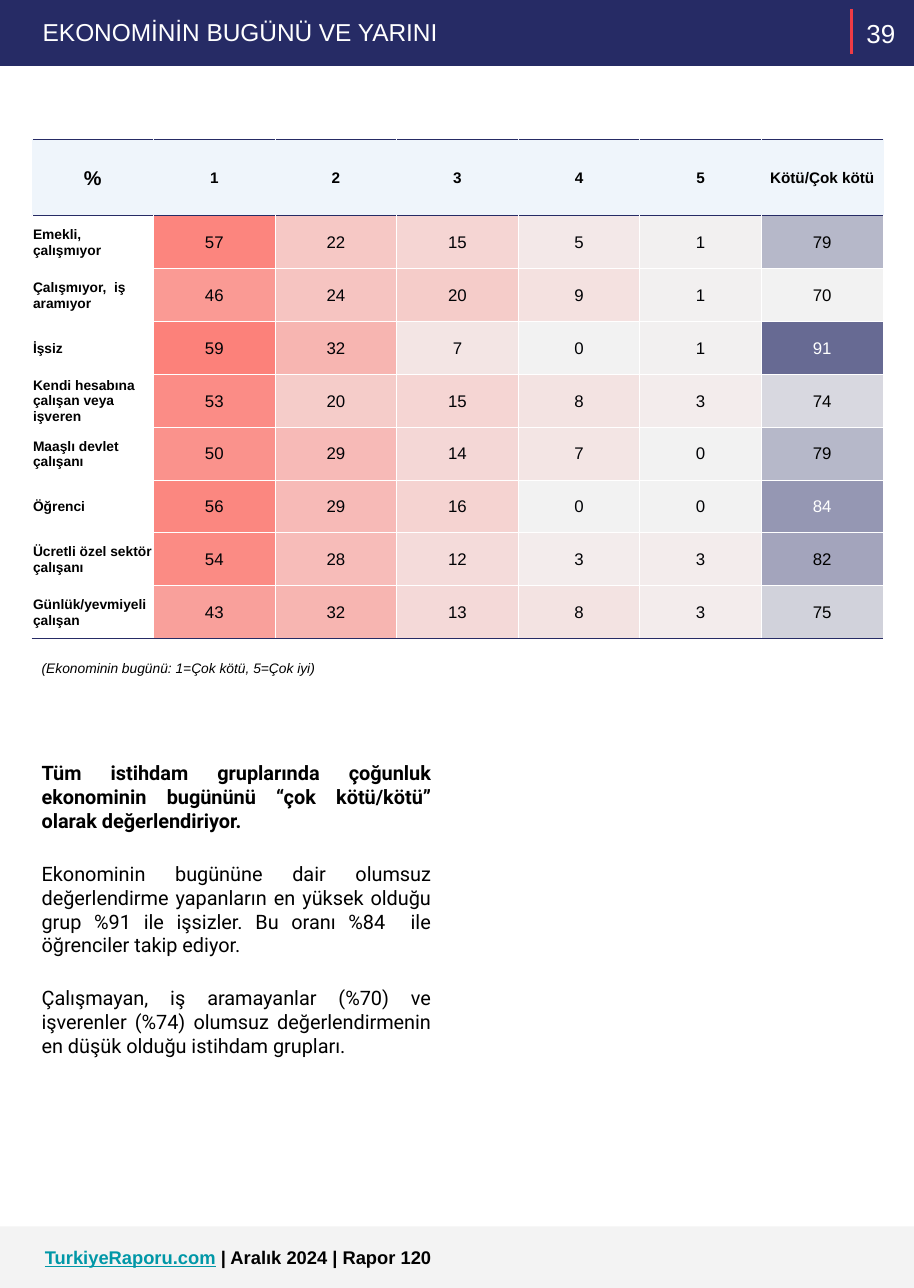
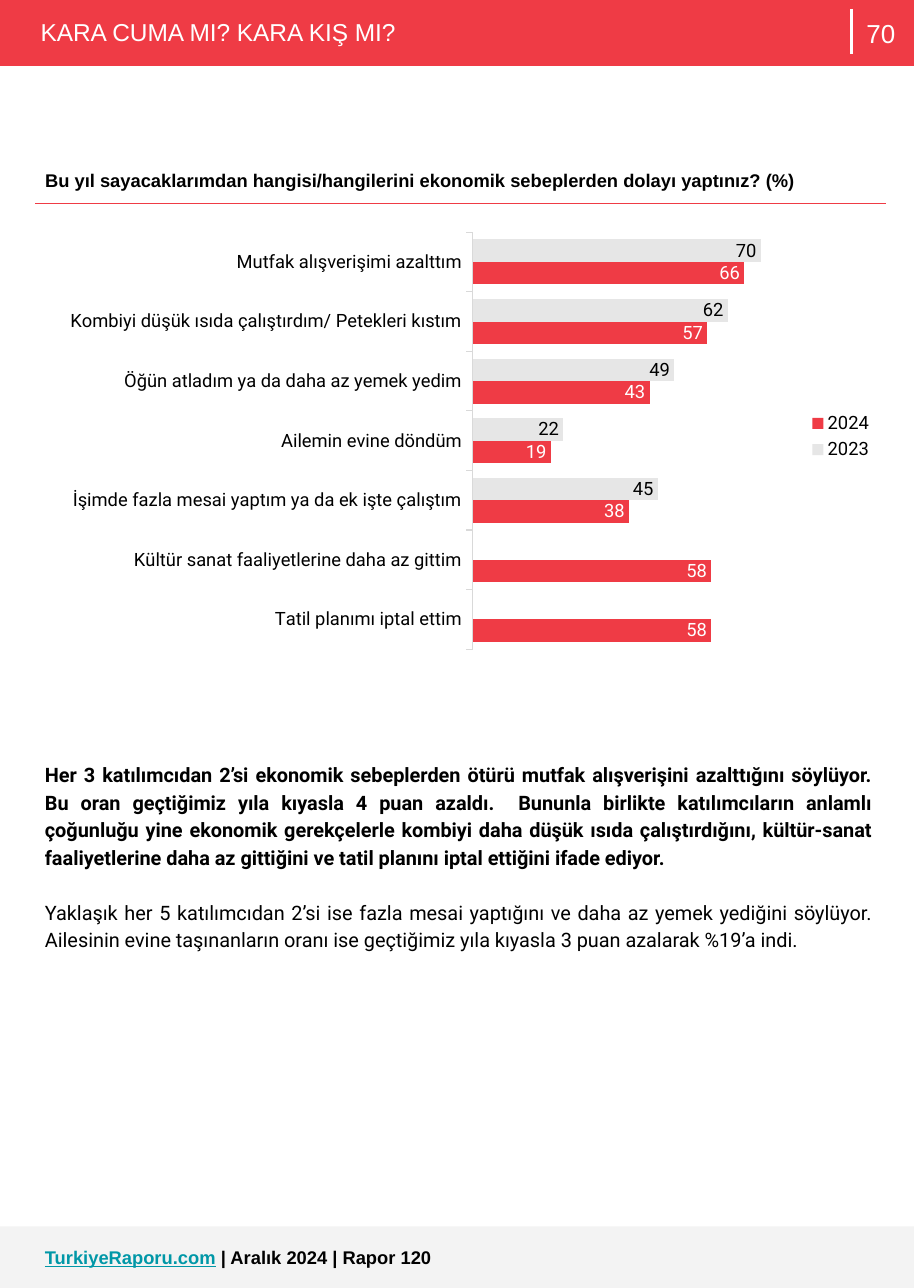
import pptx
import pptx.chart.data
import pptx.dml.color
import pptx.enum.chart
import pptx.enum.shapes
import pptx.enum.text
import pptx.oxml
import pptx.oxml.ns
import pptx.util

Inches, Pt = pptx.util.Inches, pptx.util.Pt
RGB = pptx.dml.color.RGBColor.from_string
Align, Anchor = pptx.enum.text.PP_ALIGN, pptx.enum.text.MSO_ANCHOR
Shape = pptx.enum.shapes.MSO_SHAPE
Line = pptx.enum.shapes.MSO_CONNECTOR
qn = pptx.oxml.ns.qn


class Theme:
    navy, red, teal = "262B65", "EF3B45", "0097A7"
    white, black, ink = "FFFFFF", "000000", "010205"
    foot, head, bar, axis = "F3F3F3", "EFF5FB", "E6E6E6", "D9D9D9"
    pale, warm, cool = "F2F2F2", "FC817A", "676A93"
    sans, text = "Arial", "Roboto"
    title, number, body, label, value, small, note = 16, 17, 13, 12, 11, 10, 9


def write(frame, lines, size, color=Theme.black, font=Theme.sans, bold=False,
          align=Align.LEFT):
    """Put one paragraph per line in the frame and format every run."""
    frame.text = "\n".join(lines)
    for para in frame.paragraphs:
        para.alignment = align
        for run in para.runs:
            run.font.size, run.font.name, run.font.bold = Pt(size), font, bold
            run.font.color.rgb = RGB(color)


def box(page, spot, lines, size, **look):
    """Add a wrapped text box with even insets and return its frame."""
    frame = page.shapes.add_textbox(*map(Inches, spot)).text_frame
    frame.word_wrap = True
    frame.margin_left = frame.margin_right = Inches(0.1)
    frame.margin_top = frame.margin_bottom = Inches(0.1)
    write(frame, lines, size, **look)
    return frame


deck = pptx.Presentation()
deck.slide_width, deck.slide_height = Inches(8.3), Inches(11.7)

# Header, footer and body text of each page
job_text = [
    "Tüm istihdam gruplarında çoğunluk ekonominin bugününü “çok kötü/kötü” "
    "olarak değerlendiriyor.",
    "Ekonominin bugününe dair olumsuz değerlendirme yapanların en yüksek olduğu "
    "grup %91 ile işsizler. Bu oranı %84  ile öğrenciler takip ediyor.",
    "Çalışmayan, iş aramayanlar (%70) ve işverenler (%74) olumsuz "
    "değerlendirmenin en düşük olduğu istihdam grupları.",
]
cut_text = [
    "Her 3 katılımcıdan 2’si ekonomik sebeplerden ötürü mutfak alışverişini "
    "azalttığını söylüyor. Bu oran geçtiğimiz yıla kıyasla 4 puan azaldı.  "
    "Bununla birlikte katılımcıların anlamlı çoğunluğu yine ekonomik gerekçelerle "
    "kombiyi daha düşük ısıda çalıştırdığını, kültür-sanat faaliyetlerine daha az "
    "gittiğini ve tatil planını iptal ettiğini ifade ediyor.",
    "Yaklaşık her 5 katılımcıdan 2’si ise fazla mesai yaptığını ve daha az yemek "
    "yediğini söylüyor. Ailesinin evine taşınanların oranı ise geçtiğimiz yıla "
    "kıyasla 3 puan azalarak %19’a indi.",
]
plans = [
    ("EKONOMİNİN BUGÜNÜ VE YARINI", 0.29, "39", Theme.navy, Theme.red,
     job_text, (0.28, 6.81, 3.73, 3.42), 1, 19),
    ("KARA CUMA MI? KARA KIŞ MI?", 0.27, "70", Theme.red, Theme.white,
     cut_text, (0.31, 6.8, 7.7, 3.8), 1.15, 18),
]
pages = []
for title, left, number, band, mark, lines, spot, pitch, gap in plans:
    page = deck.slides.add_slide(deck.slide_layouts[6])
    pages.append(page)
    for top, high, color in [(0, 0.6, band), (11.14, 0.56, Theme.foot)]:
        strip = page.shapes.add_shape(Shape.RECTANGLE, 0, Inches(top),
                                      deck.slide_width, Inches(high))
        strip.shadow.inherit = False
        strip.fill.solid()
        strip.fill.fore_color.rgb = RGB(color)
        strip.line.fill.background()
    rule = page.shapes.add_connector(Line.STRAIGHT, Inches(7.73), Inches(0.08),
                                     Inches(7.73), Inches(0.49))
    rule.line.color.rgb, rule.line.width = RGB(mark), Pt(2.25)
    rule._element.spPr.append(pptx.oxml.parse_xml(
        f'<a:effectLst {pptx.oxml.ns.nsdecls("a")}/>'))

    box(page, (left, 0.06, 7.2, 0.47), [title], Theme.title, color=Theme.white)
    frame = box(page, (7.73, 0, 0.54, 0.6), [number], Theme.number,
                color=Theme.white, align=Align.CENTER)
    frame.vertical_anchor = Anchor.MIDDLE

    frame = box(page, (0.31, 11.22, 6.96, 0.4), ["TurkiyeRaporu.com"],
                Theme.label, color=Theme.teal, bold=True)
    site = frame.paragraphs[0].runs[0]
    site.font.underline = True
    issue = frame.paragraphs[0].add_run()
    issue.text = " | Aralık 2024 | Rapor 120"
    issue.font.size, issue.font.name = site.font.size, Theme.sans
    issue.font.bold, issue.font.color.rgb = True, RGB(Theme.black)

    frame = box(page, spot, lines, Theme.body, font=Theme.text,
                align=Align.JUSTIFY)
    for para in frame.paragraphs:
        para.line_spacing = pitch
    for para in frame.paragraphs[1:]:
        para.space_before = Pt(gap)
    frame.paragraphs[0].runs[0].font.bold = True

first, second = pages
edges = []  # cell, colours of left, right, top and bottom, width

# Heat table
rows = [
    ("%", "1", "2", "3", "4", "5", "Kötü/Çok kötü"),
    ("Emekli, çalışmıyor", 57, 22, 15, 5, 1, 79),
    ("Çalışmıyor,  iş aramıyor", 46, 24, 20, 9, 1, 70),
    ("İşsiz", 59, 32, 7, 0, 1, 91),
    ("Kendi hesabına çalışan veya işveren", 53, 20, 15, 8, 3, 74),
    ("Maaşlı devlet çalışanı", 50, 29, 14, 7, 0, 79),
    ("Öğrenci", 56, 29, 16, 0, 0, 84),
    ("Ücretli özel sektör çalışanı", 54, 28, 12, 3, 3, 82),
    ("Günlük/yevmiyeli çalışan", 43, 32, 13, 8, 3, 75),
]
last = len(rows) - 1
grid = first.shapes.add_table(len(rows), 7, Inches(0.29), Inches(1.27),
                              Inches(7.73), Inches(4.55)).table
grid.first_row = grid.horz_banding = False
for r, row in enumerate(rows):
    grid.rows[r].height = Inches(0.48 if r else 0.69)
    for c, item in enumerate(row):
        cell = grid.cell(r, c)
        cell.vertical_anchor = Anchor.MIDDLE
        cell.margin_left = cell.margin_right = cell.margin_top = Inches(0.01)
        cell.margin_bottom = 0
        size, color, fill = Theme.value, Theme.ink, None
        if r == 0:
            size, color, fill = Theme.small, Theme.black, Theme.head
            if c == 0:
                size = Theme.body
        elif c == 0:
            size, color = Theme.note, Theme.black
        else:
            low, high, peak = (70, 91, Theme.cool) if c == 6 else (0, 59, Theme.warm)
            part = (item - low) / (high - low)
            fill = "".join(f"{round(a + (b - a) * part):02X}"
                           for a, b in zip(RGB(Theme.pale), RGB(peak)))
            if c == 6:
                color = Theme.white if item >= 84 else Theme.black
        write(cell.text_frame, [str(item)], size, color, bold=r == 0 or c == 0,
              align=Align.LEFT if r and c == 0 else Align.CENTER)
        if fill:
            cell.fill.solid()
            cell.fill.fore_color.rgb = RGB(fill)
        else:
            cell.fill.background()
        side = Theme.white if r else Theme.head
        above = Theme.navy if r < 2 else Theme.white
        below = Theme.navy if r in (0, last) else Theme.white
        edges.append((cell, (side, side, above, below), 0.5))

frame = box(first, (0.28, 5.92, 4.61, 0.35),
            ["(Ekonominin bugünü: 1=Çok kötü, 5=Çok iyi)"], Theme.note)
frame.paragraphs[0].runs[0].font.italic = True

# Question above the chart
ask = second.shapes.add_table(1, 1, Inches(0.31), Inches(1.45),
                              Inches(7.74), Inches(0.4)).table
ask.first_row = ask.horz_banding = False
cell = ask.cell(0, 0)
cell.margin_left = cell.margin_right = Inches(0.1)
cell.margin_top = cell.margin_bottom = Inches(0.1)
write(cell.text_frame,
      ["Bu yıl sayacaklarımdan hangisi/hangilerini ekonomik sebeplerden dolayı "
       "yaptınız? (%)"], Theme.label, bold=True)
cell.fill.solid()
cell.fill.fore_color.rgb = RGB(Theme.white)
edges.append((cell, (Theme.white,) * 3 + (Theme.red,), 1))

for cell, colors, width in edges:
    for i, (tag, color) in enumerate(zip(("lnL", "lnR", "lnT", "lnB"), colors)):
        cell._tc.get_or_add_tcPr().insert(i, pptx.oxml.parse_xml(
            f'<a:{tag} {pptx.oxml.ns.nsdecls("a")} w="{Pt(width)}"><a:solidFill>'
            f'<a:srgbClr val="{color}"/></a:solidFill></a:{tag}>'))

# Bar chart
data = pptx.chart.data.CategoryChartData()
data.categories = [
    "Mutfak alışverişimi azalttım",
    "Kombiyi düşük ısıda çalıştırdım/ Petekleri kıstım",
    "Öğün atladım ya da daha az yemek yedim",
    "Ailemin evine döndüm",
    "İşimde fazla mesai yaptım ya da ek işte çalıştım",
    "Kültür sanat faaliyetlerine daha az gittim",
    "Tatil planımı iptal ettim",
]
data.add_series("2023", (70, 62, 49, 22, 45, None, None))
data.add_series("2024", (66, 57, 43, 19, 38, 58, 58))
Kinds = pptx.enum.chart
chart = second.shapes.add_chart(
    Kinds.XL_CHART_TYPE.BAR_CLUSTERED, Inches(0.28), Inches(1.93),
    Inches(7.75), Inches(4.07), data).chart
chart.has_title = False
chart.has_legend = True
chart.legend.position = Kinds.XL_LEGEND_POSITION.RIGHT
chart.legend.include_in_layout = False
cats, vals = chart.category_axis, chart.value_axis
cats.reverse_order = True
cats.major_tick_mark = Kinds.XL_TICK_MARK.OUTSIDE
cats.format.line.color.rgb, cats.format.line.width = RGB(Theme.axis), Pt(0.75)
vals.visible = vals.has_major_gridlines = False
vals.minimum_scale, vals.maximum_scale = 0, 100

plot = chart.plots[0]
plot.gap_width, plot.overlap, plot.vary_by_categories = 65, 0, False
fonts = [(chart.font, Theme.small, Theme.black),
         (chart.legend.font, Theme.label, Theme.black),
         (cats.tick_labels.font, Theme.label, Theme.black)]
for series, fill, color in zip(plot.series, (Theme.bar, Theme.red),
                               (Theme.black, Theme.white)):
    series.format.fill.solid()
    series.format.fill.fore_color.rgb = RGB(fill)
    labels = series.data_labels
    labels.show_value = True
    labels.position = Kinds.XL_LABEL_POSITION.INSIDE_END
    fonts.append((labels.font, Theme.label, color))
for font, size, color in fonts:
    font.name, font.size, font.color.rgb = Theme.text, Pt(size), RGB(color)

area = chart._chartSpace.chart.plotArea
for old in area.findall(qn("c:layout")):
    area.remove(old)
frame = [("layoutTarget", "inner"), ("xMode", "edge"), ("yMode", "edge"),
         ("x", 0.518), ("y", 0.044), ("w", 0.482), ("h", 0.931)]
area.insert(0, pptx.oxml.parse_xml(
    f'<c:layout {pptx.oxml.ns.nsdecls("c")}><c:manualLayout>'
    + "".join(f'<c:{tag} val="{val}"/>' for tag, val in frame)
    + "</c:manualLayout></c:layout>"))

deck.save("out.pptx")
